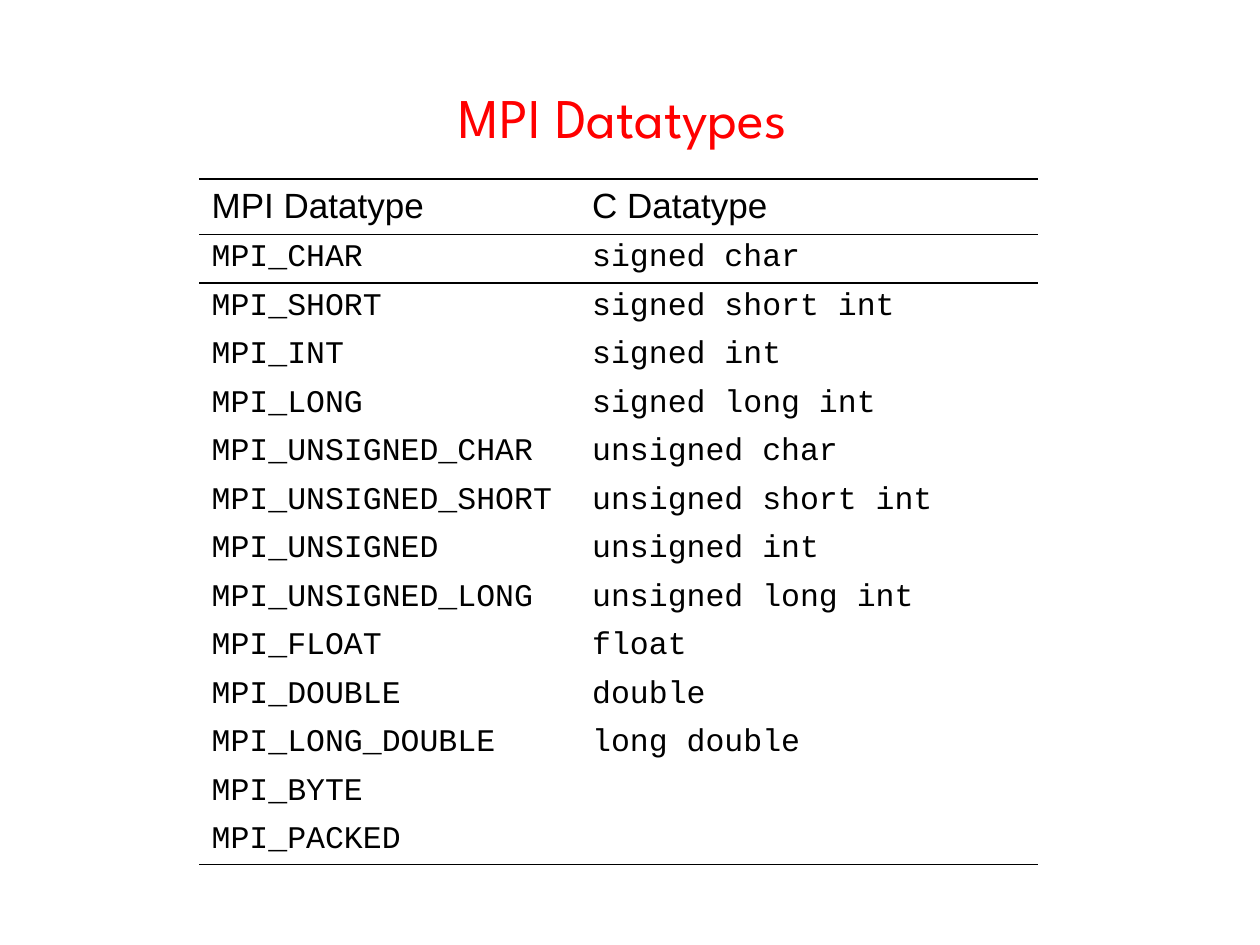
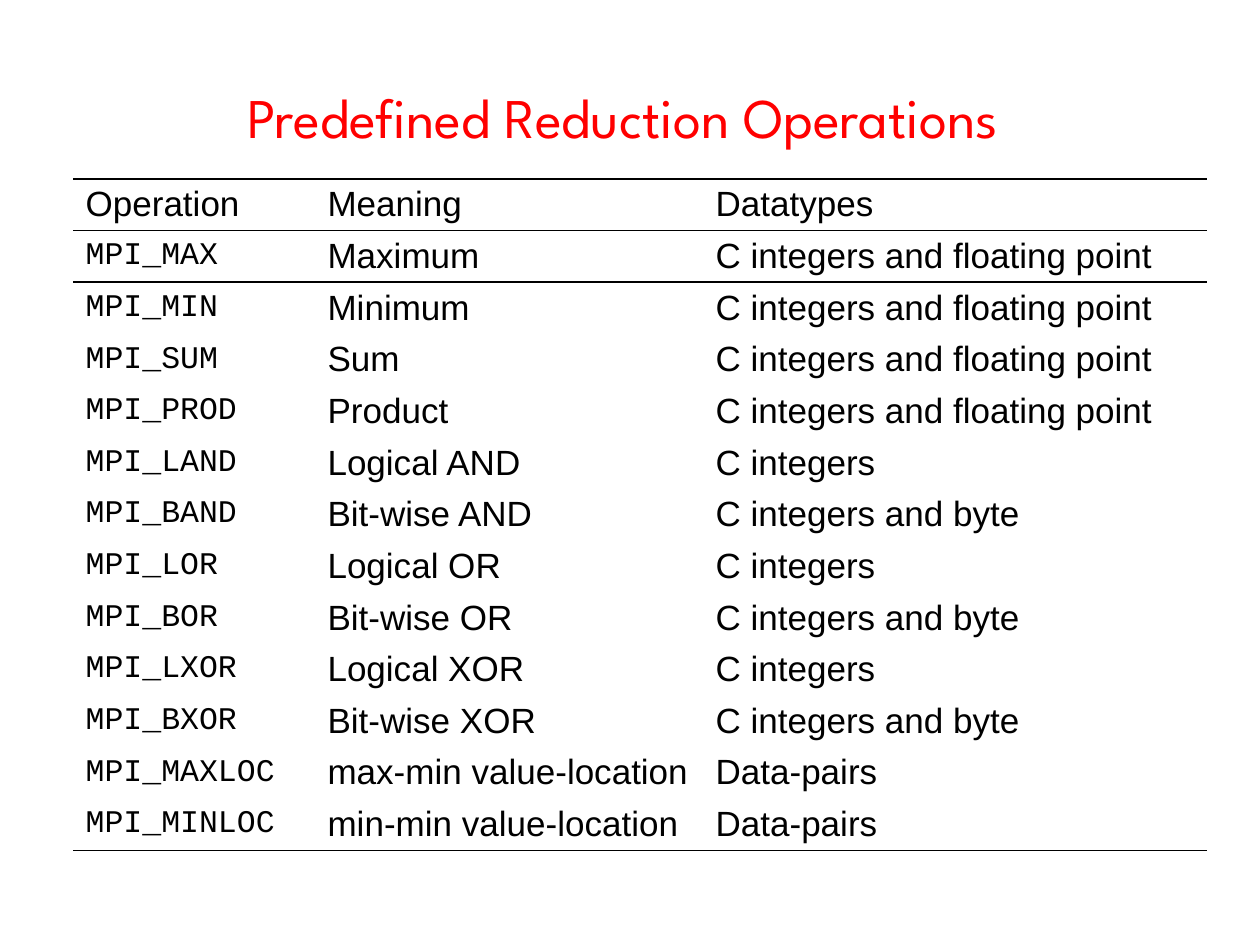
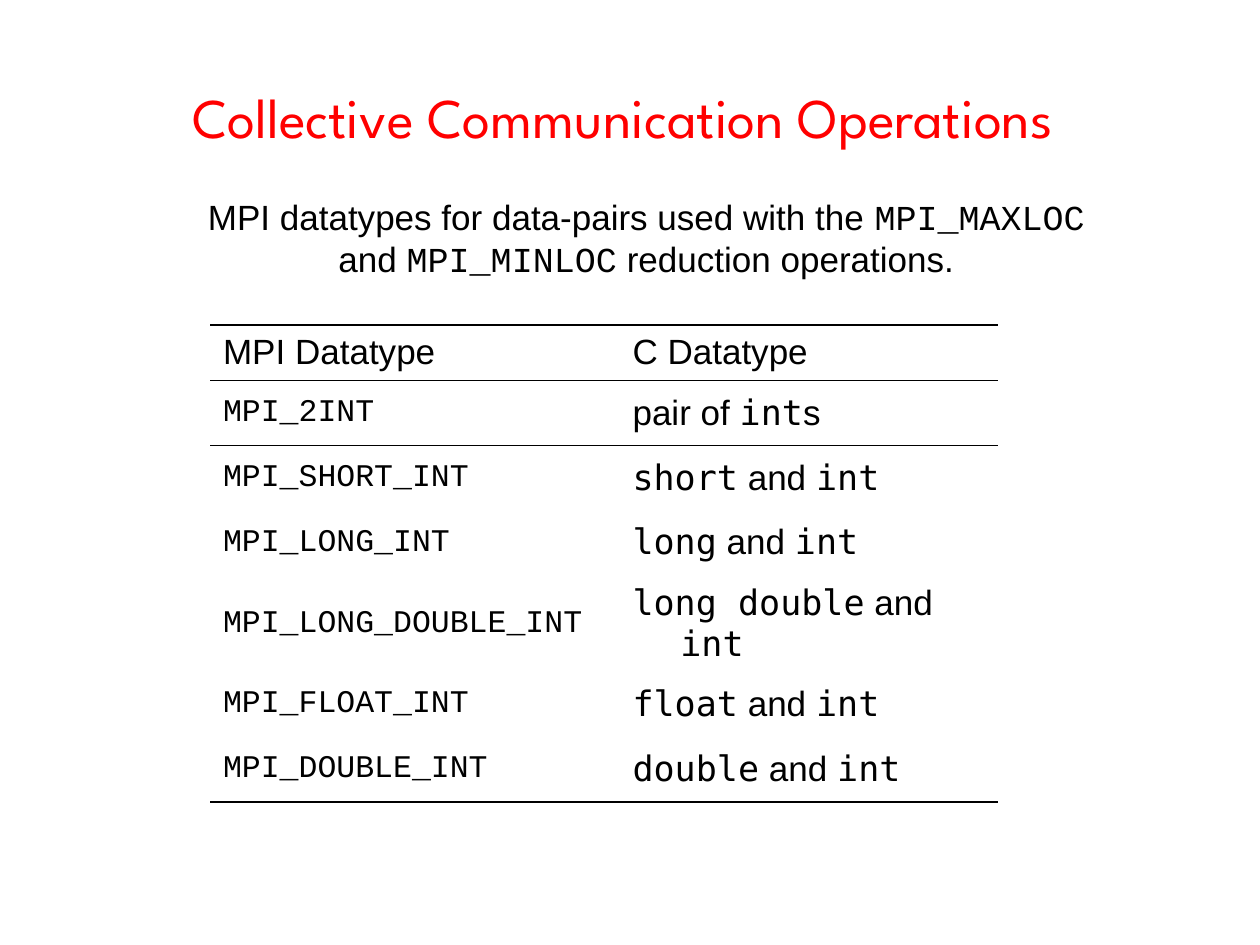
"""Build three slides of MPI datatype and reduction tables."""
from dataclasses import dataclass

from pptx import Presentation
from pptx import util as u
from pptx.dml.color import RGBColor
from pptx.enum import text as t
from pptx.oxml import parse_xml
from pptx.oxml.ns import nsdecls


@dataclass(frozen=True)
class Theme:
    red: str = "FF0000"
    black: str = "000000"
    display: str = "League Spartan"
    sans: str = "Arial"
    mono: str = "Courier New"
    inline_mono: str = "DejaVu Sans Mono"
    title_size: int = 32
    body_size: int = 20
    code_size: int = 18
    rule_width: int = 1
    plain_table: str = "{2D5ABB26-0587-4C30-8999-92F81FD0307C}"


THEME = Theme()


def write(frame, words, *, size=THEME.body_size, font=THEME.sans, code_font=THEME.mono,
          color=THEME.black, align=t.PP_ALIGN.LEFT, hang=0):
    """Fill a text frame, setting the parts between backticks in the code font."""
    paragraph = frame.paragraphs[0]
    paragraph.alignment = align
    if hang:
        properties = paragraph._p.get_or_add_pPr()
        properties.set("marL", str(u.Inches(hang)))
        properties.set("indent", str(-u.Inches(hang)))
    for index, piece in enumerate(words.split("`")):
        if piece:
            run = paragraph.add_run()
            run.text = piece
            run.font.size = u.Pt(size)
            run.font.name = code_font if index % 2 else font
            run.font.color.rgb = RGBColor.from_string(color)


def rule(cell, side):
    """Draw a thin rule on the top (T) or bottom (B) of a table cell."""
    cell._tc.get_or_add_tcPr().append(parse_xml(
        f'<a:ln{side} {nsdecls("a")} w="{u.Pt(THEME.rule_width)}"><a:solidFill>'
        f'<a:srgbClr val="{THEME.black}"/></a:solidFill></a:ln{side}>'))


datatypes = [
    ("MPI Datatype", "C Datatype"),
    ("MPI_CHAR", "signed char"),
    ("MPI_SHORT", "signed short int"),
    ("MPI_INT", "signed int"),
    ("MPI_LONG", "signed long int"),
    ("MPI_UNSIGNED_CHAR", "unsigned char"),
    ("MPI_UNSIGNED_SHORT", "unsigned short int"),
    ("MPI_UNSIGNED", "unsigned int"),
    ("MPI_UNSIGNED_LONG", "unsigned long int"),
    ("MPI_FLOAT", "float"),
    ("MPI_DOUBLE", "double"),
    ("MPI_LONG_DOUBLE", "long double"),
    ("MPI_BYTE", ""),
    ("MPI_PACKED", ""),
]
operations = [
    ("Operation", "Meaning", "Datatypes"),
    ("MPI_MAX", "Maximum", "C integers and floating point"),
    ("MPI_MIN", "Minimum", "C integers and floating point"),
    ("MPI_SUM", "Sum", "C integers and floating point"),
    ("MPI_PROD", "Product", "C integers and floating point"),
    ("MPI_LAND", "Logical AND", "C integers"),
    ("MPI_BAND", "Bit-wise AND", "C integers and byte"),
    ("MPI_LOR", "Logical OR", "C integers"),
    ("MPI_BOR", "Bit-wise OR", "C integers and byte"),
    ("MPI_LXOR", "Logical XOR", "C integers"),
    ("MPI_BXOR", "Bit-wise XOR", "C integers and byte"),
    ("MPI_MAXLOC", "max-min value-location", "Data-pairs"),
    ("MPI_MINLOC", "min-min value-location", "Data-pairs"),
]
data_pairs = [
    ("MPI Datatype", "C Datatype"),
    ("MPI_2INT", "pair of `int`s"),
    ("MPI_SHORT_INT", "`short` and `int`"),
    ("MPI_LONG_INT", "`long` and `int`"),
    ("MPI_LONG_DOUBLE_INT", "`long double` and `int`"),
    ("MPI_FLOAT_INT", "`float` and `int`"),
    ("MPI_DOUBLE_INT", "`double` and `int`"),
]
pages = [
    dict(title="MPI Datatypes ", rows=datatypes, left=1.58, top=1.42,
         widths=[3.02, 3.64], heights=[0.44] + [0.385] * 13, code_columns=2),
    dict(title="Predefined Reduction Operations ", rows=operations, left=0.58, top=1.42,
         widths=[1.92, 3.08, 4], heights=[0.41] * 13, code_columns=1),
    dict(title="Collective Communication Operations ", rows=data_pairs, left=1.67, top=2.58,
         widths=[3.25, 3], heights=[0.44] + [0.515] * 3 + [0.77] + [0.515] * 2, code_columns=1,
         intro="MPI datatypes for data-pairs used with the `MPI_MAXLOC` and `MPI_MINLOC`"
               " reduction operations."),
]

deck = Presentation()
deck.slide_width, deck.slide_height = u.Inches(10), u.Inches(7.5)

for page in pages:
    slide = deck.slides.add_slide(deck.slide_layouts[5])
    heading = slide.shapes.title
    heading.left, heading.top = u.Inches(0.5), u.Inches(0.3)
    heading.width, heading.height = u.Inches(9), u.Inches(1.25)
    heading.text_frame.vertical_anchor = t.MSO_ANCHOR.MIDDLE
    write(heading.text_frame, page["title"], size=THEME.title_size, font=THEME.display,
          color=THEME.red, align=t.PP_ALIGN.CENTER)

    if "intro" in page:
        intro = slide.shapes.add_textbox(u.Inches(1.42), u.Inches(1.5),
                                         u.Inches(7.42), u.Inches(0.77)).text_frame
        intro.word_wrap = True
        intro.auto_size = t.MSO_AUTO_SIZE.SHAPE_TO_FIT_TEXT
        write(intro, page["intro"], align=t.PP_ALIGN.CENTER)

    rows, widths, heights = page["rows"], page["widths"], page["heights"]
    holder = slide.shapes.add_table(len(rows), len(widths), u.Inches(page["left"]),
                                    u.Inches(page["top"]), u.Inches(sum(widths)),
                                    u.Inches(sum(heights)))
    holder.element.xpath(".//a:tableStyleId")[0].text = THEME.plain_table
    grid = holder.table
    grid.first_row = grid.horz_banding = False
    for column, width in zip(grid.columns, widths):
        column.width = u.Inches(width)
    for row, height in zip(grid.rows, heights):
        row.height = u.Inches(height)

    for r, entries in enumerate(rows):
        for c, entry in enumerate(entries):
            cell = grid.cell(r, c)
            cell.vertical_anchor = t.MSO_ANCHOR.MIDDLE
            cell.margin_top = cell.margin_bottom = u.Inches(0.03)
            if r < 2:
                rule(cell, "T")
            if r in (0, len(rows) - 1):
                rule(cell, "B")
            cell.fill.background()
            is_code = r > 0 and c < page["code_columns"]
            write(cell.text_frame, entry, hang=0.38, code_font=THEME.inline_mono,
                  size=THEME.code_size if is_code else THEME.body_size,
                  font=THEME.mono if is_code else THEME.sans)

deck.save("out.pptx")
